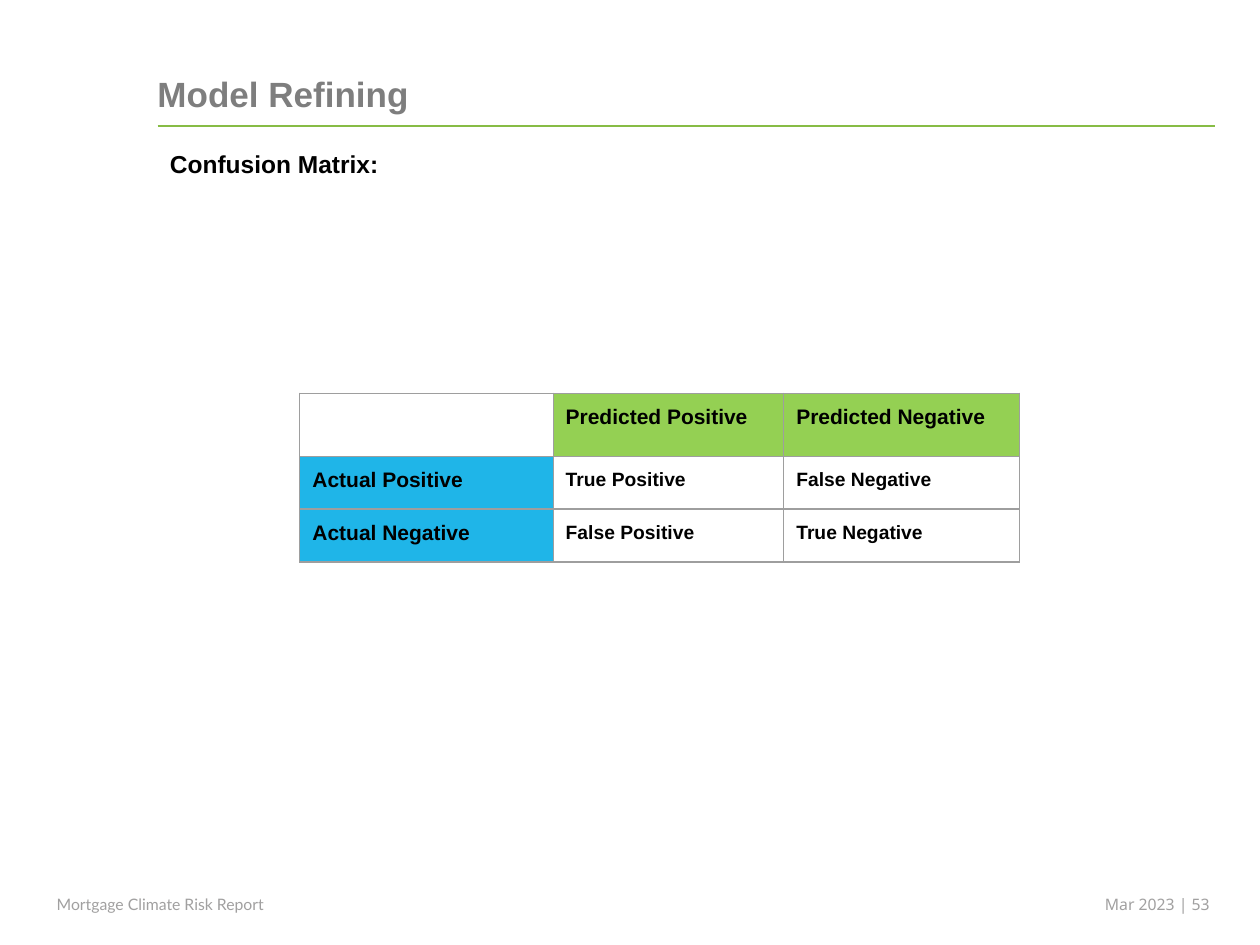
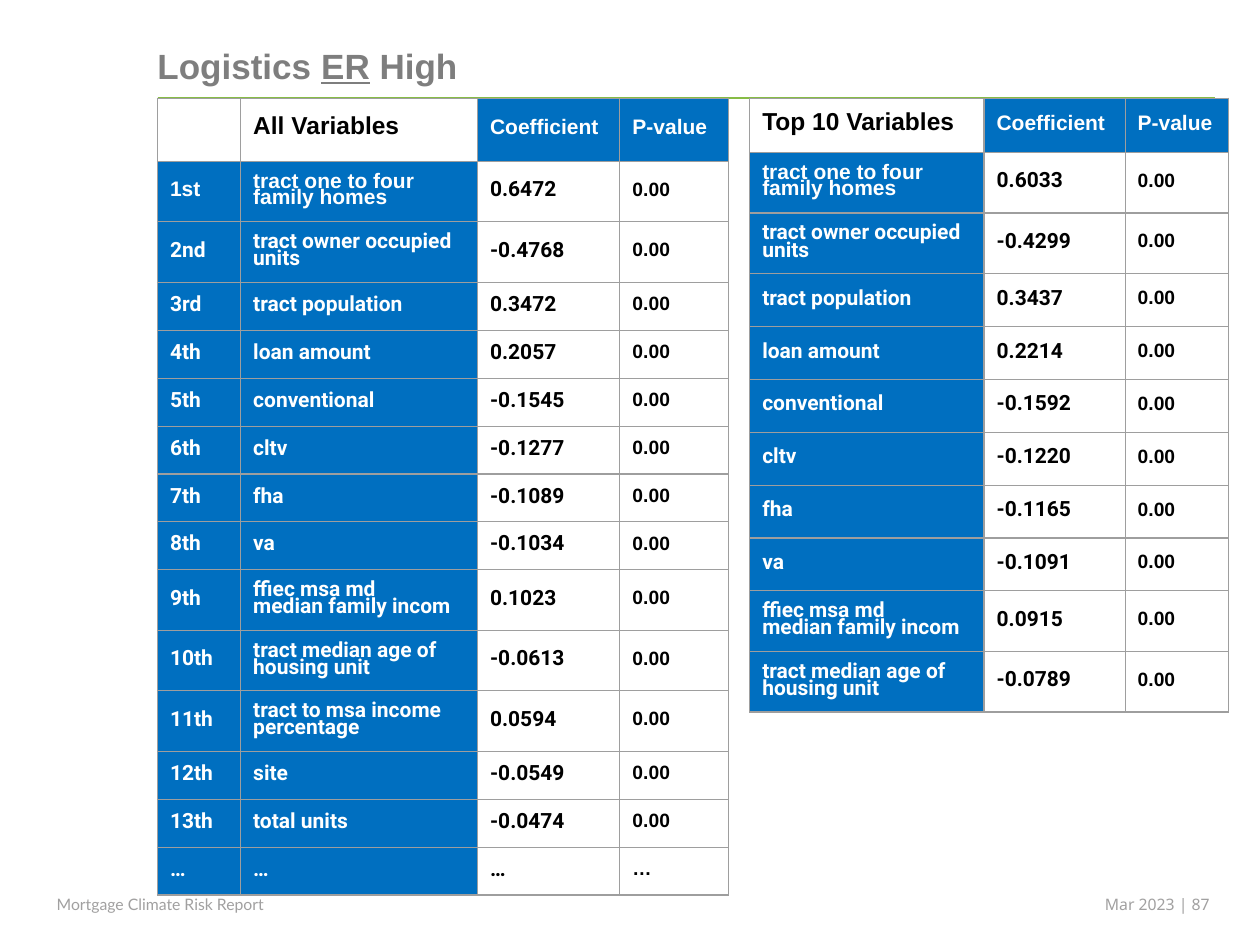
"""Build two model review pages: a confusion matrix and ranked coefficient tables."""
from dataclasses import dataclass, replace

import pptx
import pptx.dml.color
import pptx.enum.shapes
import pptx.enum.text
import pptx.oxml
import pptx.oxml.ns
import pptx.util

Inches = pptx.util.Inches
Pt = pptx.util.Pt


@dataclass(frozen=True)
class Look:
    size: int
    color: str = "000000"
    font: str = "Arial"
    bold: bool = True
    fill: str = ""
    spacing: float = 1.0


class Theme:
    rule = "87BC45"
    border = "9E9E9E"
    title = Look(20, "7E7E7E")
    heading = Look(14)
    footer = Look(9, "A1A0A0", "Lato", bold=False)
    date = replace(footer, font="Noto Sans")
    predicted = Look(12, fill="94D053")
    actual = Look(12, fill="1FB5E8")
    outcome = Look(11)
    corner = Look(14, spacing=0.6)
    column_head = Look(12, "FFFFFF", fill="006FC0", spacing=0.7)
    variable = replace(column_head, font="Roboto")
    coefficient = Look(12, font="Roboto", spacing=0.7)
    p_value = Look(11, spacing=0.7)


class Report:
    def __init__(self):
        self.deck = pptx.Presentation()
        self.deck.slide_width = Inches(10)
        self.deck.slide_height = Inches(7.5)
        self.theme = Theme()
        self.page = None

    def new_page(self, title, title_top, rule_top, number, underlined=""):
        self.page = self.deck.slides.add_slide(self.deck.slide_layouts[6])
        box = self.text(title, 1.25, title_top, 8.13, 0.69, self.theme.title, (0, 0.35, 0, 0))
        if underlined:
            para = box.text_frame.paragraphs[0]
            before, after = title.split(underlined)
            para.text = before
            for part in (underlined, after):
                para.add_run().text = part
            self.format(para, self.theme.title)
            para.runs[1].font.underline = True
        self.line(1.25, rule_top, 9.64)
        footer_inset = (0.01, 0.01, 0, 0)
        self.text("Mortgage Climate Risk Report", 0.44, 7.09, 1.94, 0.16,
                  self.theme.footer, footer_inset)
        self.text(f"Mar 2023 | {number}", 8.76, 7.09, 1.01, 0.16, self.theme.date, footer_inset)

    def format(self, para, look):
        para.line_spacing = look.spacing
        for span in para.runs:
            span.font.size = Pt(look.size)
            span.font.name = look.font
            span.font.bold = look.bold
            span.font.color.rgb = pptx.dml.color.RGBColor.from_string(look.color)

    def text(self, words, left, top, width, height, look, inset=(0.1, 0.1, 0.1, 0.1)):
        box = self.page.shapes.add_textbox(Inches(left), Inches(top), Inches(width), Inches(height))
        frame = box.text_frame
        frame.word_wrap = True
        (frame.margin_left, frame.margin_top,
         frame.margin_right, frame.margin_bottom) = map(Inches, inset)
        frame.text = words
        self.format(frame.paragraphs[0], look)
        return box

    def line(self, left, top, right):
        rule = self.page.shapes.add_connector(
            pptx.enum.shapes.MSO_CONNECTOR.STRAIGHT,
            Inches(left), Inches(top), Inches(right), Inches(top))
        rule.line.color.rgb = pptx.dml.color.RGBColor.from_string(self.theme.rule)
        rule.line.width = Pt(1)
        rule._element.spPr.append(pptx.oxml.parse_xml(
            f"<a:effectLst {pptx.oxml.ns.nsdecls('a')}/>"))

    def borders(self, cell):
        properties = cell._tc.get_or_add_tcPr()
        for side in "LRTB":
            properties.append(pptx.oxml.parse_xml(
                f'<a:ln{side} {pptx.oxml.ns.nsdecls("a")} w="{Pt(0.75)}"><a:solidFill>'
                f'<a:srgbClr val="{self.theme.border}"/></a:solidFill></a:ln{side}>'))

    def cell(self, cell, words, look, anchor):
        cell.margin_left = cell.margin_right = Inches(0.1)
        cell.margin_top = cell.margin_bottom = Inches(0.1)
        cell.vertical_anchor = anchor
        self.borders(cell)
        if look.fill and words:
            cell.fill.solid()
            cell.fill.fore_color.rgb = pptx.dml.color.RGBColor.from_string(look.fill)
        else:
            cell.fill.background()
        if words:
            cell.text_frame.text = words
            for para in cell.text_frame.paragraphs:
                self.format(para, look)

    def table(self, left, top, widths, heights, rows, looks, anchor):
        grid = self.page.shapes.add_table(
            len(rows), len(widths), Inches(left), Inches(top),
            Inches(sum(widths)), Inches(sum(heights))).table
        grid.first_row = grid.horz_banding = False
        for column, width in zip(grid.columns, widths):
            column.width = Inches(width)
        for row, height, values, row_looks in zip(grid.rows, heights, rows, looks):
            row.height = Inches(height)
            for cell, words, look in zip(row.cells, values, row_looks):
                self.cell(cell, words, look, anchor)

    def coefficient_table(self, left, widths, head, rows, head_height, row_height):
        theme = self.theme
        labels = len(head) - 2
        numbers = [theme.coefficient, theme.p_value]
        looks = [[theme.corner] * labels + [theme.column_head] * 2,
                 [theme.column_head] * labels + numbers]
        looks += [[theme.variable] * labels + numbers] * (len(rows) - 1)
        heights = [head_height] + [
            0.48 if len(row[labels - 1]) > 20 else row_height for row in rows]
        self.table(left, 0.78, widths, heights, [head] + rows, looks,
                   pptx.enum.text.MSO_ANCHOR.MIDDLE)


VARIABLES = [
    ("tract one to four\nfamily homes", "0.6472", "0.6033"),
    ("tract owner occupied units", "-0.4768", "-0.4299"),
    ("tract population", "0.3472", "0.3437"),
    ("loan amount", "0.2057", "0.2214"),
    ("conventional", "-0.1545", "-0.1592"),
    ("cltv", "-0.1277", "-0.1220"),
    ("fha", "-0.1089", "-0.1165"),
    ("va", "-0.1034", "-0.1091"),
    ("ffiec msa md\nmedian family incom", "0.1023", "0.0915"),
    ("tract median age of housing unit", "-0.0613", "-0.0789"),
    ("tract to msa income percentage", "0.0594", None),
    ("site", "-0.0549", None),
    ("total units", "-0.0474", None),
]
ORDINAL_ENDINGS = {1: "st", 2: "nd", 3: "rd"}


def confusion_matrix(report):
    theme = report.theme
    report.new_page("Model Refining", 0.23, 1, 53)
    report.text("Confusion Matrix:", 1.25, 1.08, 2.01, 0.44, theme.heading)
    rows = [["", "Predicted Positive", "Predicted Negative"],
            ["Actual Positive", "True Positive", "False Negative"],
            ["Actual Negative", "False Positive", "True Negative"]]
    looks = [[theme.predicted] * 3] + [[theme.actual, theme.outcome, theme.outcome]] * 2
    report.table(2.38, 3.12, [2.01, 1.83, 1.87], [0.5, 0.42, 0.42], rows, looks,
                 pptx.enum.text.MSO_ANCHOR.TOP)


def coefficients(report):
    report.new_page("Logistics ER High", 0.01, 0.78, 87, underlined="ER")
    ranked = [[f"{rank}{ORDINAL_ENDINGS.get(rank, 'th')}", name, value, "0.00"]
              for rank, (name, value, _) in enumerate(VARIABLES, 1)]
    report.coefficient_table(
        1.25, [0.66, 1.88, 1.13, 0.86], ["", "All Variables", "Coefficient", "P-value"],
        ranked + [["…"] * 4], 0.5, 0.38)
    top_ten = [[name, value, "0.00"] for name, _, value in VARIABLES if value]
    report.coefficient_table(
        5.95, [1.86, 1.12, 0.82], ["Top 10 Variables", "Coefficient", "P-value"],
        top_ten, 0.43, 0.42)


def main():
    report = Report()
    confusion_matrix(report)
    coefficients(report)
    report.deck.save("out.pptx")


if __name__ == "__main__":
    main()
